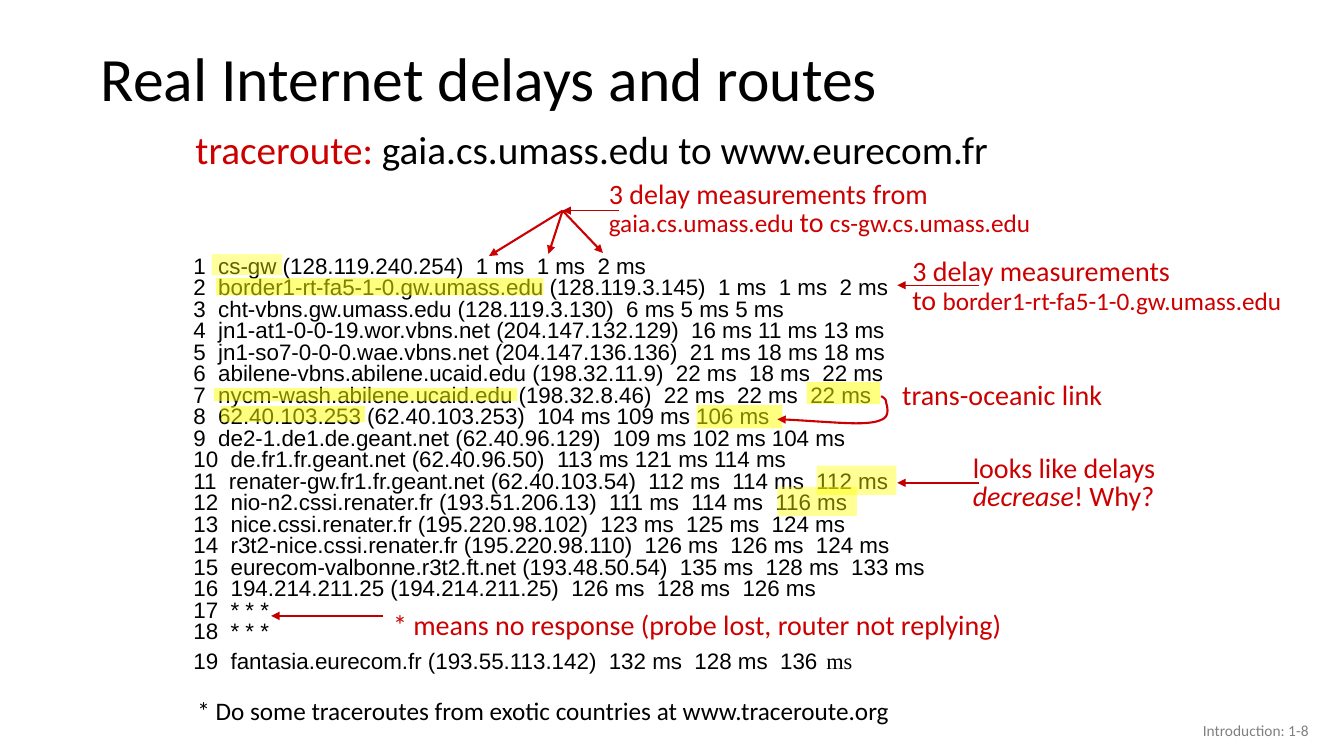
from pptx import Presentation
from pptx.dml.color import RGBColor
from pptx.enum import shapes, text
from pptx.oxml import ns
from pptx.util import Inches, Pt
from lxml import etree

BLACK = RGBColor(0, 0, 0)
RED = RGBColor(0xCC, 0, 0)
DARK = RGBColor(0xC0, 0, 0)
GRAY = RGBColor(0x80, 0x80, 0x80)
YELLOW = RGBColor(0xFF, 0xFF, 0)

# Content: a paragraph is a list of runs (text, format changes)
TRACE = [
    "1  cs-gw (128.119.240.254)  1 ms  1 ms  2 ms",
    "2  border1-rt-fa5-1-0.gw.umass.edu (128.119.3.145)  1 ms  1 ms  2 ms",
    "3  cht-vbns.gw.umass.edu (128.119.3.130)  6 ms 5 ms 5 ms",
    "4  jn1-at1-0-0-19.wor.vbns.net (204.147.132.129)  16 ms 11 ms 13 ms",
    "5  jn1-so7-0-0-0.wae.vbns.net (204.147.136.136)  21 ms 18 ms 18 ms",
    "6  abilene-vbns.abilene.ucaid.edu (198.32.11.9)  22 ms  18 ms  22 ms",
    "7  nycm-wash.abilene.ucaid.edu (198.32.8.46)  22 ms  22 ms  22 ms",
    "8  62.40.103.253 (62.40.103.253)  104 ms 109 ms 106 ms",
    "9  de2-1.de1.de.geant.net (62.40.96.129)  109 ms 102 ms 104 ms",
    "10  de.fr1.fr.geant.net (62.40.96.50)  113 ms 121 ms 114 ms",
    "11  renater-gw.fr1.fr.geant.net (62.40.103.54)  112 ms  114 ms  112 ms",
    "12  nio-n2.cssi.renater.fr (193.51.206.13)  111 ms  114 ms  116 ms",
    "13  nice.cssi.renater.fr (195.220.98.102)  123 ms  125 ms  124 ms",
    "14  r3t2-nice.cssi.renater.fr (195.220.98.110)  126 ms  126 ms  124 ms",
    "15  eurecom-valbonne.r3t2.ft.net (193.48.50.54)  135 ms  128 ms  133 ms",
    "16  194.214.211.25 (194.214.211.25)  126 ms  128 ms  126 ms",
    "17  * * *",
    "18  * * *",
    "19  fantasia.eurecom.fr (193.55.113.142)  132 ms  128 ms  136",
]

SERIF = "Times New Roman"
hops = [[(row, {})] for row in TRACE]
hops[-1] += [(" ", {"name": SERIF, "size": Pt(24)}), ("ms", {"name": SERIF})]

SMALL = {"size": Pt(18)}
MID = text.MSO_ANCHOR.MIDDLE
TIGHT = {"line_spacing": 0.85}

# Box, paragraphs, size, colour, paragraph format, frame format, font
TEXTS = [
    ((0.9, 0.32, 11.5, 0.98), [[("Real Internet delays and routes", {})]],
     44, BLACK, {"line_spacing": 0.9}, {"vertical_anchor": MID}, "Calibri"),
    ((1.82, 2.5, 9, 4.31), hops, 16, BLACK, {"line_spacing": 0.8}, {}, "Arial"),
    ((1.84, 1.19, 8.96, 0.57),
     [[("traceroute:", {}),
       (" gaia.cs.umass.edu to www.eurecom.fr", {"color": BLACK})]],
     28, RED, {}, {}, "Calibri"),
    ((1.86, 6.85, 7.14, 0.4),
     [[("* Do some traceroutes from exotic countries at www.traceroute.org", {})]],
     18, BLACK, {}, {"word_wrap": False}, "Calibri"),
    ((3.8, 5.98, 6.88, 0.44),
     [[("* means no response (probe lost, router not replying)", {})]],
     20, RED, {}, {}, "Calibri"),
    ((5.94, 1.75, 6.49, 0.68),
     [[("3 delay measurements from", {})],
      [("gaia.cs.umass.edu ", SMALL), ("to ", {}), ("cs-gw.cs.umass.edu", SMALL)]],
     20, RED, TIGHT, {}, "Calibri"),
    ((8.95, 2.52, 4.47, 0.68),
     [[("3 delay measurements", {})],
      [("to ", {}), ("border1-rt-fa5-1-0.gw.umass.edu", SMALL)]],
     20, RED, TIGHT, {}, "Calibri"),
    ((9.55, 4.47, 3, 0.68),
     [[("looks like delays ", {}), ("decrease", {"italic": True}), ("! Why?", {})]],
     20, RED, TIGHT, {}, "Calibri"),
    ((8.85, 3.7, 3, 0.44), [[("trans-oceanic link", {})]],
     20, RED, {}, {}, "Calibri"),
    ((10.08, 7.05, 3, 0.4), [[("Introduction: 1-8", {})]],
     11, GRAY, {"alignment": text.PP_ALIGN.RIGHT}, {"vertical_anchor": MID}, "Calibri"),
]

# Start, end, colour, width; the head is at the end
HUB = (5.58, 2.09)
ARROWS = [(HUB, tip, RED, 1.5) for tip in [(4.85, 2.54), (5.44, 2.52), (5.98, 2.51)]]
ARROWS += [((x, y), (end, y), DARK, 1) for x, end, y in [
    (3.8, 2.69, 6.11), (6.14, 5.58, 2.09), (9.71, 8.9, 2.83), (9.71, 8.9, 4.79)]]

# Highlight box and opacity in percent
MARKS = [
    ((2.1, 2.52, 0.7, 0.21), 38),
    ((2.14, 2.76, 3.25, 0.17), 50),
    ((8.1, 4.62, 0.79, 0.29), 41),
    ((7.71, 4.83, 0.79, 0.29), 41),
    ((2.12, 3.85, 3.01, 0.13), 50),
    ((2.19, 4.03, 1.43, 0.16), 50),
    ((8, 3.79, 0.73, 0.22), 50),
    ((6.91, 4.02, 0.85, 0.23), 50),
]

# Hook between hops 7 and 8: start, then triples of Bezier points
HOOK = [(8.74, 3.93),
        (8.77, 3.95), (8.79, 3.96), (8.79, 4),
        (8.8, 4.03), (8.82, 4.11), (8.77, 4.15),
        (8.72, 4.18), (8.66, 4.2), (8.49, 4.2),
        (8.31, 4.2), (7.84, 4.16), (7.71, 4.16)]
STEPS = 8

deck = Presentation()
deck.slide_width, deck.slide_height = Inches(13.33), Inches(7.5)
slide = deck.slides.add_slide(deck.slide_layouts[6])
parts = slide.shapes


def apply(obj, form):
    for key, val in form.items():
        if key == "color":
            obj.color.rgb = val
        else:
            setattr(obj, key, val)


def inches(nums):
    return [Inches(n) for n in nums]


def write(box, paras, size, color, para_form, frame_form, face):
    frame = parts.add_textbox(*inches(box)).text_frame
    apply(frame, {"word_wrap": True, **frame_form})
    for i, runs in enumerate(paras):
        para = frame.paragraphs[0] if i == 0 else frame.add_paragraph()
        apply(para, para_form)
        if paras is hops:
            props = para._p.get_or_add_pPr()
            props.set("marL", str(Inches(0.5)))
            props.set("indent", str(Inches(-0.5)))
        for words, form in runs:
            run = para.add_run()
            run.text = words
            apply(run.font, {"name": face, "size": Pt(size), "color": color, **form})


def point(shape, color, width):
    apply(shape.line, {"color": color, "width": Pt(width)})
    line = shape.line._get_or_add_ln()
    etree.SubElement(line, ns.qn("a:tailEnd"), type="triangle")


def bend(a, b, c, d, t):
    s = 1 - t
    return tuple(s**3 * p + 3 * s * s * t * q + 3 * s * t * t * r + t**3 * u
                 for p, q, r, u in zip(a, b, c, d))


# Text
for item in TEXTS:
    write(*item)

# Straight arrows
for start, end, color, width in ARROWS:
    arrow = parts.add_connector(shapes.MSO_CONNECTOR.STRAIGHT, *inches(start + end))
    point(arrow, color, width)
    etree.SubElement(arrow._element.spPr, ns.qn("a:effectLst"))

# Highlights
for box, alpha in MARKS:
    mark = parts.add_shape(shapes.MSO_SHAPE.RECTANGLE, *inches(box))
    mark.shadow.inherit = False
    mark.line.fill.background()
    mark.fill.solid()
    mark.fill.fore_color.rgb = YELLOW
    tint = mark._element.spPr.find(".//" + ns.qn("a:srgbClr"))
    etree.SubElement(tint, ns.qn("a:alpha"), val=str(alpha * 1000))

# Curved arrow
curve = [bend(*HOOK[i:i + 4], k / STEPS)
         for i in range(0, len(HOOK) - 1, 3) for k in range(1, STEPS + 1)]
pen = parts.build_freeform(*inches(HOOK[0]))
pen.add_line_segments([inches(spot) for spot in curve], close=False)
hook = pen.convert_to_shape()
hook.shadow.inherit = False
hook.fill.background()
point(hook, RED, 1.5)

deck.save("out.pptx")
